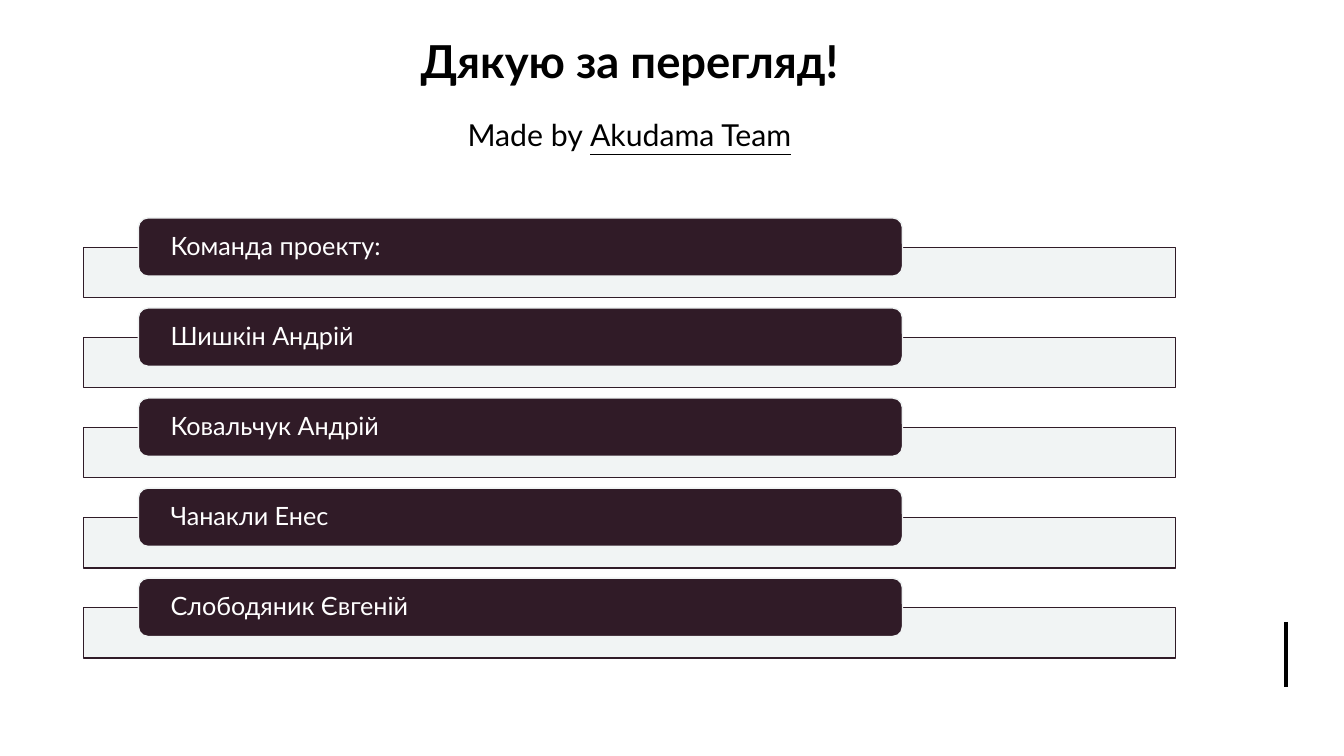
from dataclasses import dataclass

from lxml import etree
from pptx import Presentation
from pptx.dml.color import RGBColor
from pptx.enum.shapes import MSO_CONNECTOR, MSO_SHAPE
from pptx.enum.text import MSO_ANCHOR, PP_ALIGN
from pptx.oxml.ns import qn
from pptx.util import Cm, Pt

RECTANGLE = MSO_SHAPE.RECTANGLE
ROUNDED = MSO_SHAPE.ROUNDED_RECTANGLE
STRAIGHT = MSO_CONNECTOR.STRAIGHT
MIDDLE = MSO_ANCHOR.MIDDLE
LEFT = PP_ALIGN.LEFT
CENTER = PP_ALIGN.CENTER
TITLE_ONLY = 5


@dataclass(frozen=True)
class Theme:
    """Colours, font and type sizes of the slide."""
    font: str = "Lato"
    black: RGBColor = RGBColor(0x00, 0x00, 0x00)
    white: RGBColor = RGBColor(0xFF, 0xFF, 0xFF)
    plum: RGBColor = RGBColor(0x30, 0x1B, 0x27)
    mist: RGBColor = RGBColor(0xF0, 0xF3, 0xF3)
    title_size: float = 32.4
    subtitle_size: float = 21.6
    label_size: float = 18


@dataclass(frozen=True)
class Box:
    """A region of the slide in centimetres."""
    left: float
    top: float
    width: float
    height: float

    def lengths(self):
        """Return the region as slide lengths."""
        return Cm(self.left), Cm(self.top), Cm(self.width), Cm(self.height)


THEME = Theme()
TEAM = [
    "Команда проекту:",
    "Шишкін Андрій",
    "Ковальчук Андрій",
    "Чанакли Енес",
    "Слободяник Євгеній",
]


def format_run(run, size, color, bold=False, underline=False):
    """Apply the theme font with the given size, colour and emphasis."""
    font = run.font
    font.name = THEME.font
    font.size = Pt(size)
    font.color.rgb = color
    font.bold = bold
    font.underline = underline


def add_block(slide, kind, box, fill, line):
    """Add a flat preset shape with a thin outline."""
    shape = slide.shapes.add_shape(kind, *box.lengths())
    shape.shadow.inherit = False
    shape.fill.solid()
    shape.fill.fore_color.rgb = fill
    shape.line.color.rgb = line
    shape.line.width = Pt(1)
    return shape


def add_heading(slide, box):
    """Place the thanks and the team credit in the title placeholder."""
    title = slide.shapes.title
    title.left, title.top, title.width, title.height = box.lengths()
    frame = title.text_frame
    frame.word_wrap = True
    frame.vertical_anchor = MIDDLE
    frame.margin_bottom = Cm(0.94)
    frame.text = "Дякую за перегляд!\nMade by "
    thanks, credit = frame.paragraphs
    credit.add_run().text = "Akudama Team"
    credit.space_before = Pt(23)
    for paragraph in frame.paragraphs:
        paragraph.alignment = CENTER
        paragraph.line_spacing = 0.9
    format_run(thanks.runs[0], THEME.title_size, THEME.black, bold=True)
    made_by, team = credit.runs
    format_run(made_by, THEME.subtitle_size, THEME.black)
    format_run(team, THEME.subtitle_size, THEME.black, underline=True)


def add_team_row(slide, box, name):
    """Place a pale band with a dark name label overlapping its top edge."""
    band_height = 1.27
    band_box = Box(box.left, box.top + box.height - band_height, box.width, band_height)
    band = add_block(slide, RECTANGLE, band_box, THEME.mist, THEME.plum)
    color = band.fill._xPr.find(f".//{qn('a:srgbClr')}")
    etree.SubElement(color, qn("a:alpha")).set("val", "90000")

    label_box = Box(box.left + 0.05 * box.width, box.top, 0.7 * box.width, 1.47)
    label = add_block(slide, ROUNDED, label_box, THEME.plum, THEME.mist)
    frame = label.text_frame
    frame.text = name
    frame.word_wrap = True
    frame.vertical_anchor = MIDDLE
    frame.margin_left = frame.margin_right = Cm(0.74)
    frame.margin_top = frame.margin_bottom = 0
    paragraph = frame.paragraphs[0]
    paragraph.alignment = LEFT
    paragraph.line_spacing = 0.9
    format_run(paragraph.runs[0], THEME.label_size, THEME.white)


def add_team_list(slide, box):
    """Stack the team rows at an equal pitch inside the box."""
    row_height = 2.01
    pitch = (box.height - row_height) / (len(TEAM) - 1)
    for index, name in enumerate(TEAM):
        row = Box(box.left, box.top + index * pitch, box.width, row_height)
        add_team_row(slide, row, name)


def add_accent(slide, box):
    """Draw the vertical accent line along the left side of the box."""
    left, top, _, height = box.lengths()
    accent = slide.shapes.add_connector(STRAIGHT, left, top, left, top + height)
    accent.line.color.rgb = THEME.black
    accent.line.width = Pt(3)
    etree.SubElement(accent._element.spPr, qn("a:effectLst"))


def main():
    """Build the closing slide and save the presentation."""
    presentation = Presentation()
    presentation.slide_width = Cm(33.87)
    presentation.slide_height = Cm(19.05)
    slide = presentation.slides.add_slide(presentation.slide_layouts[TITLE_ONLY])
    add_heading(slide, Box(2.11, 0.81, 27.51, 4.04))
    add_accent(slide, Box(32.41, 15.67, 0, 1.65))
    add_team_list(slide, Box(2.11, 5.49, 27.51, 11.09))
    presentation.save("out.pptx")


if __name__ == "__main__":
    main()
